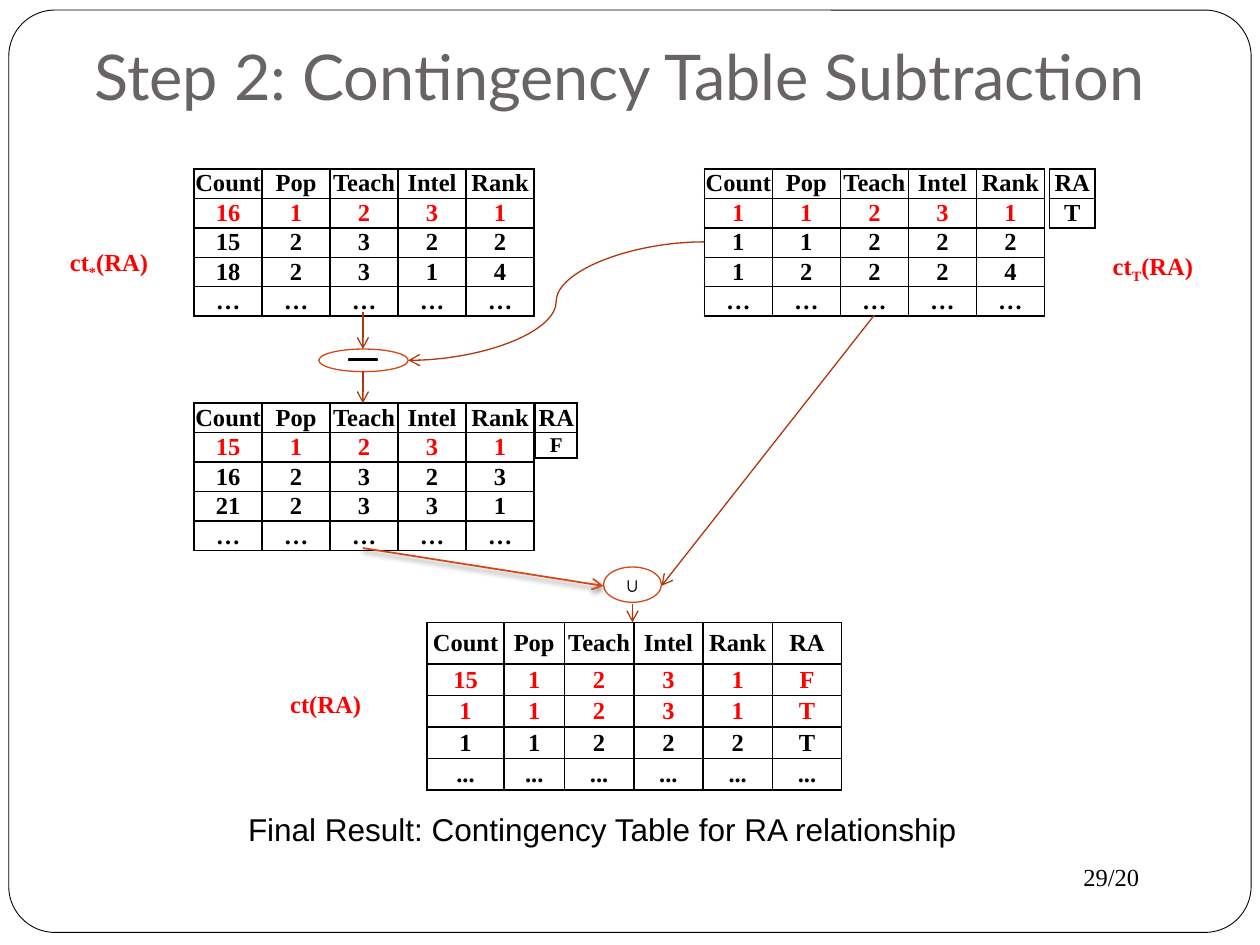
import pptx
import pptx.util
import pptx.dml.color
import pptx.enum.shapes
import pptx.enum.text
import pptx.oxml
import pptx.oxml.ns
from lxml import etree

Inches = pptx.util.Inches
Pt = pptx.util.Pt
RGB = pptx.dml.color.RGBColor.from_string
KIND = pptx.enum.shapes.MSO_SHAPE
LINK = pptx.enum.shapes.MSO_CONNECTOR
ALIGN = pptx.enum.text.PP_ALIGN
ANCHOR = pptx.enum.text.MSO_ANCHOR
qn = pptx.oxml.ns.qn
HUE = {"black": "000000", "white": "FFFFFF", "red": "FF0000",
       "rust": "B1360B", "orange": "D34817", "gray": "696464"}
SERIF = "Times New Roman"

deck = pptx.Presentation()
deck.slide_width, deck.slide_height = Inches(10), Inches(7.5)
slide = deck.slides.add_slide(deck.slide_layouts[6])
shapes = slide.shapes


def add_form(kind, box, fill, line, width=0.75):
    form = shapes.add_shape(kind, *map(Inches, box))
    form.shadow.inherit = False
    if fill:
        form.fill.solid()
        form.fill.fore_color.rgb = RGB(HUE[fill])
    else:
        form.fill.background()
    form.line.color.rgb = RGB(HUE[line])
    form.line.width = Pt(width)
    return form


def set_text(frame, parts, size, face, hue, bold=False, center=False):
    para = frame.paragraphs[0]
    if center:
        para.alignment = ALIGN.CENTER
    para.font.size = Pt(size)
    para.font.name = face
    para.font.bold = bold
    para.font.color.rgb = RGB(HUE[hue])
    for part in parts:
        run = para.add_run()
        run.text = part
        if part in ("*", "T") and len(parts) > 1:
            run.font._element.set("baseline", "-25000")


card = add_form(KIND.ROUNDED_RECTANGLE, (0.07, 0.08, 9.86, 7.32), "white", "black", 0.5)
card.adjustments[0] = 0.05

notes = [
    ((0.65, 0.28, 8.92, 0.72), "Step 2: Contingency Table Subtraction", 36, "Lato", "gray"),
    ((1.87, 6.38, 6.11, 0.4), "Final Result: Contingency Table for RA relationship", 18, "Arial", "black"),
    ((8.5, 6.79, 1, 0.34), "29/20", 14, SERIF, "black"),
]
for box, text, size, face, hue in notes:
    frame = shapes.add_textbox(*map(Inches, box)).text_frame
    frame.word_wrap = True
    if size == 36:
        frame.vertical_anchor = ANCHOR.BOTTOM
        frame.margin_bottom = Inches(0.1)
    set_text(frame, [text], size, face, hue)

head = "Count Pop Teach Intel Rank"
dots = " ".join("…" * 5)
even = [0.54] * 5
tables = [
    (1.54, 1.34, even, [0.23] * 4 + [0.2], "white", [1],
     [head, "16 1 2 3 1", "15 2 3 2 2", "18 2 3 1 4", dots]),
    (5.59, 1.34, even, [0.23] * 5, None, [1],
     [head, "1 1 2 3 1", "1 1 2 2 2", "1 2 2 2 4", dots]),
    (4.25, 3.2, [0.33], [0.23, 0.2], "white", [], ["RA", "F"]),
    (1.54, 3.2, even, [0.23] * 4 + [0.22], "white", [1],
     [head, "15 1 2 3 1", "16 2 3 2 3", "21 2 3 3 1", dots]),
    (8.33, 1.34, [0.36], [0.23] * 2, "white", [], ["RA", "T"]),
    (3.39, 4.94, [0.61, 0.48] + [0.55] * 4, [0.33] + [0.25] * 4, "white", [1, 2],
     [head + " RA", "15 1 2 3 1 F", "1 1 2 3 1 T", "1 1 2 2 2 T", " ".join(["..."] * 6)]),
]
for left, top, cols, rows, fill, reds, lines in tables:
    grid = shapes.add_table(len(rows), len(cols), Inches(left), Inches(top),
                            Inches(sum(cols)), Inches(sum(rows))).table
    grid.first_row = grid.horz_banding = False
    for col, width in zip(grid.columns, cols):
        col.width = Inches(width)
    for r, line in enumerate(lines):
        grid.rows[r].height = Inches(rows[r])
        for c, text in enumerate(line.split()):
            cell = grid.cell(r, c)
            cell.margin_left = cell.margin_right = cell.margin_top = cell.margin_bottom = 0
            cell.vertical_anchor = ANCHOR.MIDDLE
            props = cell._tc.get_or_add_tcPr()
            for side in ("lnL", "lnR", "lnT", "lnB"):
                edge = etree.SubElement(props, qn("a:" + side), w="12700")
                paint = etree.SubElement(edge, qn("a:solidFill"))
                etree.SubElement(paint, qn("a:srgbClr"), val=HUE["black"])
            if fill:
                cell.fill.solid()
                cell.fill.fore_color.rgb = RGB(HUE[fill])
            else:
                cell.fill.background()
            if text in ("…", "..."):
                props.set("vert", "eaVert")
            set_text(cell.text_frame, [text], 12 if line == "F" else 14, SERIF,
                     "red" if r in reds else "black", True, True)

ovals = [
    ((2.53, 2.77, 0.71, 0.18), None, "orange", [], 12, "black"),
    ((4.79, 4.5, 0.46, 0.28), None, "orange", ["∪"], 12, "black"),
    ((0.35, 1.93, 1.03, 0.33), "white", "white", ["ct", "*", "(RA)"], 14, "red"),
    ((8.54, 1.96, 1.22, 0.33), None, "white", ["ct", "T", "(RA)"], 14, "red"),
    ((2.07, 5.42, 1.03, 0.33), "white", "white", ["ct(RA)"], 14, "red"),
]
for box, fill, line, parts, size, hue in ovals:
    oval = add_form(KIND.OVAL, box, fill, line)
    if parts:
        frame = oval.text_frame
        frame.word_wrap = True
        frame.vertical_anchor = ANCHOR.MIDDLE
        frame.margin_left = frame.margin_right = frame.margin_top = frame.margin_bottom = 0
        set_text(frame, parts, size, SERIF, hue, True, True)

add_form(KIND.MATH_MINUS, (2.73, 2.83, 0.3, 0.05), "white", "black", 1)

arrows = [
    (LINK.STRAIGHT, (2.88, 2.95, 2.88, 3.2), "rust", 0.75),
    (LINK.STRAIGHT, (2.88, 2.48, 2.88, 2.77), "rust", 0.75),
    (LINK.STRAIGHT, (5.02, 4.79, 5.02, 4.94), "rust", 0.75),
    (LINK.STRAIGHT, (6.94, 2.5, 5.25, 4.65), "rust", 0.75),
    (LINK.CURVE, (5.59, 1.92, 3.24, 2.86), "rust", 0.75),
    (LINK.STRAIGHT, (2.88, 4.35, 4.79, 4.65), "orange", 1),
]
for kind, ends, hue, width in arrows:
    arrow = shapes.add_connector(kind, *map(Inches, ends))
    arrow.line.color.rgb = RGB(HUE[hue])
    arrow.line.width = Pt(width)
    etree.SubElement(arrow.line._get_or_add_ln(), qn("a:tailEnd"), type="arrow")
    glow = etree.SubElement(arrow._element.spPr, qn("a:effectLst"))
    if hue == "orange":
        shade = etree.SubElement(glow, qn("a:outerShdw"), blurRad=str(Pt(3)),
                                 dist=str(Pt(2)), dir="5400000", rotWithShape="0")
        tint = etree.SubElement(shade, qn("a:srgbClr"), val=HUE["black"])
        etree.SubElement(tint, qn("a:alpha"), val="50000")

deck.save("out.pptx")
